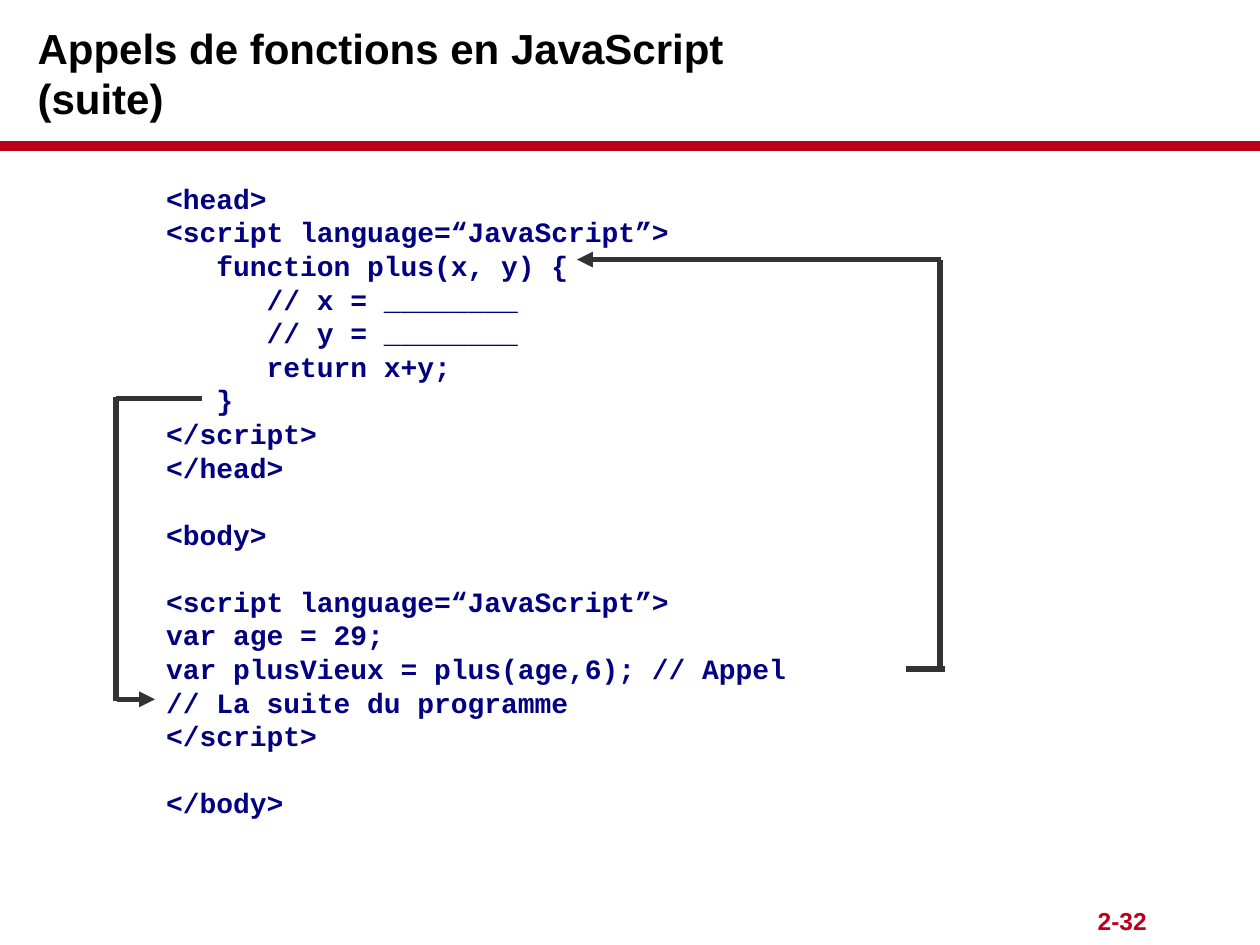
import pptx
import pptx.dml.color
import pptx.enum.shapes
import pptx.enum.text
import pptx.oxml.ns
import pptx.util
from lxml import etree

Inches = pptx.util.Inches
Pt = pptx.util.Pt
RGBColor = pptx.dml.color.RGBColor
Align = pptx.enum.text.PP_ALIGN
Anchor = pptx.enum.text.MSO_ANCHOR
qn = pptx.oxml.ns.qn

RED = RGBColor(0xB9, 0x01, 0x17)
BLACK = RGBColor(0, 0, 0)
NAVY = RGBColor(0, 0, 0x80)
GRAY = RGBColor(0x33, 0x33, 0x33)

CODE = """<head>
<script language=“JavaScript”>
   function plus(x, y) {
      // x = ________
      // y = ________
      return x+y;
   }
</script>
</head>

<body>

<script language=“JavaScript”>
var age = 29;
var plusVieux = plus(age,6); // Appel
// La suite du programme
</script>

</body>"""

CALL_PATH = [
    ((7.19, 5.31), (7.5, 5.31)),
    ((7.46, 5.31), (7.46, 2.06)),
    ((7.47, 2.06), (4.58, 2.06)),
]
RETURN_PATH = [
    ((1.6, 3.16), (0.92, 3.16)),
    ((0.92, 3.15), (0.92, 5.56)),
    ((0.93, 5.55), (1.23, 5.55)),
]


def write_text(paragraph, text, *, font, size, color, align=Align.LEFT,
               pitch=None, before=0, shadow=False):
    paragraph.text = text
    paragraph.alignment = align
    paragraph.space_before = Pt(before)
    if pitch:
        paragraph.line_spacing = Pt(pitch)
    for run in paragraph.runs:
        run.font.name = font
        run.font.size = Pt(size)
        run.font.bold = True
        run.font.color.rgb = color
        if shadow:
            effects = etree.Element(qn("a:effectLst"))
            outer = etree.SubElement(effects, qn("a:outerShdw"),
                                     dist="17961", dir="2700000")
            etree.SubElement(outer, qn("a:srgbClr"), val="000000")
            run.font.fill._xPr.find(qn("a:solidFill")).addnext(effects)


class SlideBuilder:
    heading_font = "Arial"
    code_font = "Courier New"
    code_pitch = 19.2

    def __init__(self, slide):
        self.slide = slide

    def text_frame(self, left, top, width, height, anchor=Anchor.TOP):
        shape = self.slide.shapes.add_textbox(
            Inches(left), Inches(top), Inches(width), Inches(height))
        frame = shape.text_frame
        frame.word_wrap = True
        frame.vertical_anchor = anchor
        return frame

    def title(self, text):
        frame = self.text_frame(0.2, 0.18, 8.52, 0.79, Anchor.MIDDLE)
        write_text(frame.paragraphs[0], text, font=self.heading_font, size=24,
                   color=BLACK, pitch=29, shadow=True)

    def page_number(self, text):
        frame = self.text_frame(7.62, 7.14, 1.58, 0.34)
        write_text(frame.paragraphs[0], text, font=self.heading_font, size=14,
                   color=RED, align=Align.RIGHT)

    def code(self, source):
        frame = self.text_frame(1.22, 1.35, 6.11, 5.54)
        frame.margin_top = Inches(0.09)
        paragraph = frame.paragraphs[0]
        for block_index, block in enumerate(source.split("\n\n")):
            for line_index, line in enumerate(block.split("\n")):
                if block_index or line_index:
                    paragraph = frame.add_paragraph()
                starts_block = block_index > 0 and line_index == 0
                write_text(paragraph, line, font=self.code_font, size=16,
                           color=NAVY, pitch=self.code_pitch,
                           before=self.code_pitch if starts_block else 0)

    def line(self, start, end, color, width, arrow=False):
        connector = self.slide.shapes.add_connector(
            pptx.enum.shapes.MSO_CONNECTOR.STRAIGHT,
            *(Inches(value) for value in (*start, *end)))
        connector.line.color.rgb = color
        connector.line.width = Pt(width)
        if arrow:
            etree.SubElement(connector.line._get_or_add_ln(),
                             qn("a:tailEnd"), type="triangle")
        etree.SubElement(connector._element.spPr, qn("a:effectLst"))

    def arrow_path(self, segments):
        for start, end in segments:
            self.line(start, end, GRAY, 3, arrow=(start, end) == segments[-1])


def main():
    presentation = pptx.Presentation()
    presentation.slide_width = Inches(10)
    presentation.slide_height = Inches(7.5)
    builder = SlideBuilder(
        presentation.slides.add_slide(presentation.slide_layouts[6]))
    builder.page_number("2-32")
    builder.line((0, 1.16), (10, 1.16), RED, 6)
    builder.title("Appels de fonctions en JavaScript\v(suite)")
    builder.code(CODE)
    builder.arrow_path(CALL_PATH)
    builder.arrow_path(RETURN_PATH)
    presentation.save("out.pptx")


if __name__ == "__main__":
    main()
